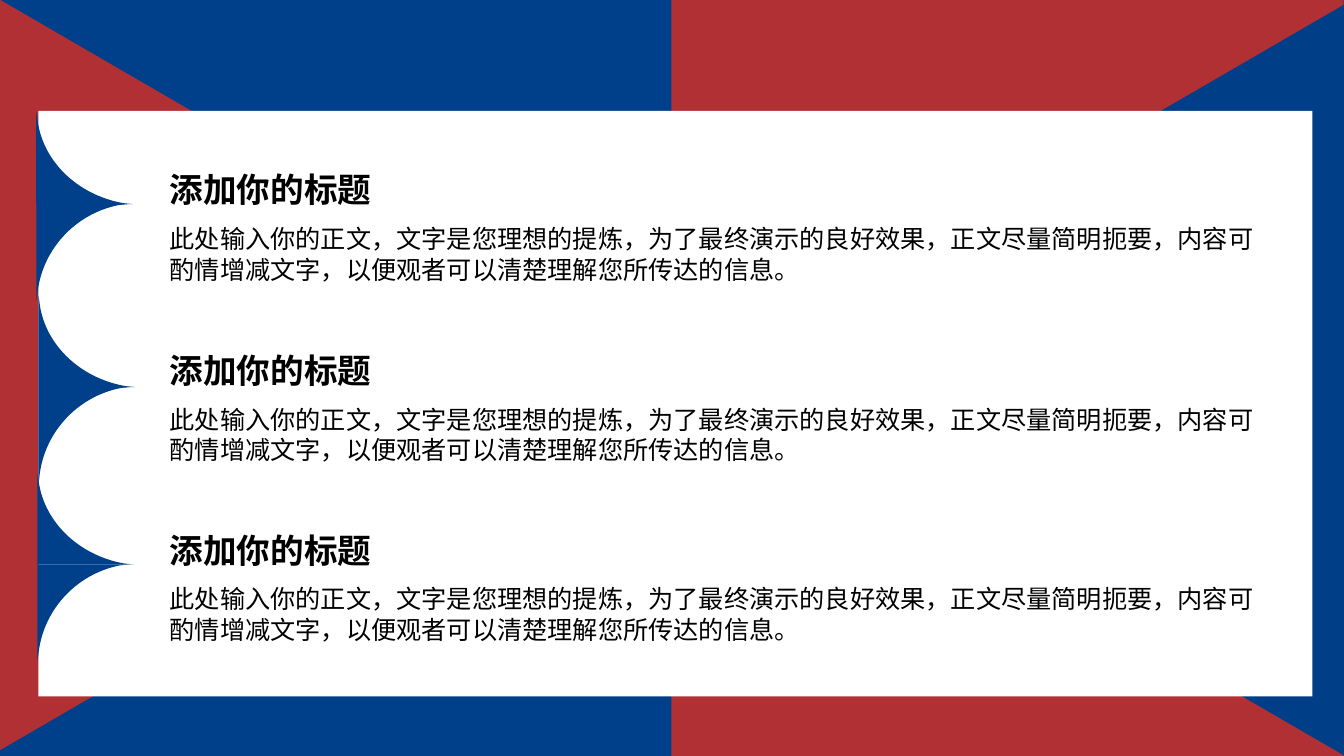
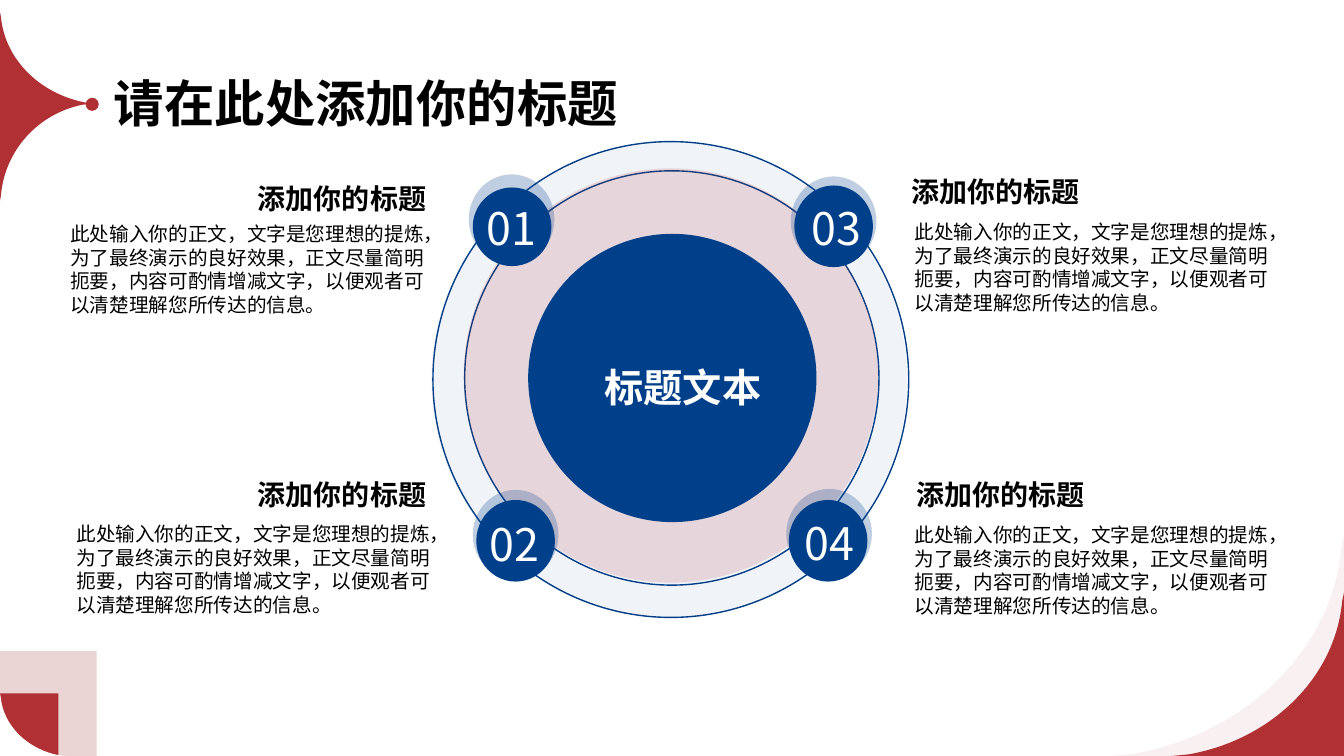
from lxml import etree
from pptx import Presentation
from pptx.dml.color import RGBColor
from pptx.enum.shapes import MSO_SHAPE
from pptx.enum.text import MSO_ANCHOR, MSO_AUTO_SIZE, PP_ALIGN
from pptx.oxml.ns import qn
from pptx.util import Inches, Pt

RECT, OVAL, TRIANGLE = MSO_SHAPE.RECTANGLE, MSO_SHAPE.OVAL, MSO_SHAPE.ISOSCELES_TRIANGLE
LEFT, CENTER = PP_ALIGN.LEFT, PP_ALIGN.CENTER
TOP = MSO_ANCHOR.TOP
GROW = MSO_AUTO_SIZE.SHAPE_TO_FIT_TEXT

COLS, ROWS = 133.33, 75
FONT = "Noto Sans CJK SC"
BLUE, RING_BLUE, RED, DARK_RED = "003F89", "003E87", "B03034", "9A1B1E"
WHITE, BLACK = "FFFFFF", "000000"
TITLE_ONLY, BLANK = 5, 6
FILLET = ((1, 0), (0.9, 0.01), (0.42, 0.1), (0.05, 0.48), (0.01, 0.95), (0, 1))

HEADING = "添加你的标题"
BODY = (
    "此处输入你的正文，文字是您理想的提炼，为了最终演示的良好效果，"
    "正文尽量简明扼要，内容可酌情增减文字，以便观者可以清楚理解您所传达的信息。"
)


def grid(*cells):
    """Turn counts of tenth-of-an-inch grid cells into lengths."""
    return [Inches(c / 10) for c in cells]


def rgb(color):
    """Turn a hex string into a colour."""
    return RGBColor.from_string(color)


def paint(sp, fill=None, alpha=100, line=None):
    """Set the fill, its opacity in percent and the outline of a shape."""
    sp.shadow.inherit = False
    if fill:
        sp.fill.solid()
        sp.fill.fore_color.rgb = rgb(fill)
        if alpha < 100:
            clr = sp.element.spPr.find(qn("a:solidFill")).find(qn("a:srgbClr"))
            etree.SubElement(clr, qn("a:alpha")).set("val", str(alpha * 1000))
    else:
        sp.fill.background()
    if line:
        sp.line.color.rgb = rgb(line)
        sp.line.width = Pt(1)
    else:
        sp.line.fill.background()


def add_preset(s, kind, at, fill=None, alpha=100, line=None, rotation=0):
    """Add a preset shape at a place on the grid."""
    sp = s.shapes.add_shape(kind, *grid(*at))
    sp.rotation = rotation
    paint(sp, fill, alpha, line)


def add_fillet(s, x, y, w, h, fill, alpha=100):
    """Fill a corner outside a round curve; signed w and h give its direction."""
    builder = s.shapes.build_freeform(*grid(x, y))
    builder.add_line_segments([grid(x + u * w, y + v * h) for u, v in FILLET])
    sp = builder.convert_to_shape()
    bend = list(sp.element.spPr.iter(qn("a:lnTo")))[2:5]
    curve = etree.Element(qn("a:cubicBezTo"))
    bend[0].addprevious(curve)
    for segment in bend:
        curve.append(segment[0])
        segment.getparent().remove(segment)
    paint(sp, fill, alpha)


def add_spike(s, x, y, fill):
    """Add a pair of mirrored fillets that meet in a point to the right."""
    add_fillet(s, x, y, 9.1, 9.6, fill)
    add_fillet(s, x, y, 9.6, -9.1, fill)


def format_text(sp, text, size, color=BLACK, bold=False, align=LEFT):
    """Write one paragraph into a shape and format it."""
    tf = sp.text_frame
    tf.word_wrap = True
    tf.auto_size = GROW
    tf.vertical_anchor = TOP
    tf.text = text
    p = tf.paragraphs[0]
    p.alignment = align
    r = p.runs[0]
    r.font.name, r.font.size, r.font.bold = FONT, Pt(size), bold
    r.font.color.rgb = rgb(color)
    etree.SubElement(r.font._element, qn("a:ea")).set("typeface", FONT)
    return tf


def add_text(s, at, text, size, **style):
    """Add a text box at a place on the grid."""
    return format_text(s.shapes.add_textbox(*grid(*at)), text, size, **style)


def set_title(s, at, text):
    """Place and format the title placeholder."""
    sp = s.shapes.title
    sp.left, sp.top, sp.width, sp.height = grid(*at)
    format_text(sp, text, 36, bold=True)


def add_badge(s, number, halo, disc, label):
    """Add a numbered disc with a pale halo behind it."""
    add_preset(s, OVAL, (*halo, 8.5, 8.9), BLUE, alpha=25)
    add_preset(s, OVAL, disc, BLUE)
    tf = add_text(s, (*label, 7.7, 5.6), number, 32, color=WHITE, align=CENTER)
    tf.margin_left = tf.margin_right = tf.margin_top = tf.margin_bottom = 0
    tf.paragraphs[0].line_spacing = Pt(40)


def new_slide(prs, layout, background):
    """Add a slide with a plain background."""
    s = prs.slides.add_slide(prs.slide_layouts[layout])
    s.background.fill.solid()
    s.background.fill.fore_color.rgb = rgb(background)
    return s


def build_list_slide(prs):
    """Build the framed slide with three headed paragraphs."""
    s = new_slide(prs, BLANK, BLUE)
    add_preset(s, RECT, (66.6, 0, 66.7, ROWS), RED)
    add_preset(s, TRIANGLE, (-5.2, 5.1, 74.5, 64.2), RED, rotation=90)
    add_preset(s, TRIANGLE, (64, 5.6, 74.5, 64.2), RING_BLUE, rotation=270)
    add_preset(s, RECT, (3.8, 11, 126.4, 58.1), WHITE)
    for head_y, body_y in ((16.25, 21.7), (34.2, 39.6), (52.1, 57.4)):
        add_text(s, (15.85, head_y, 23.4, 5), HEADING, 24, bold=True)
        add_text(s, (15.85, body_y, 111.1, 7.1), BODY, 18)
    for x, tip_y in ((3.6, 20.25), (3.8, 38.4), (3.7, 56)):
        add_spike(s, x, tip_y, BLUE)


def build_ring_slide(prs):
    """Build the titled slide with four points around a ring."""
    s = new_slide(prs, TITLE_ONLY, WHITE)
    set_title(s, (10.3, 6.7, 59.9, 7.1), "请在此处添加你的标题")

    add_preset(s, OVAL, (42.8, 14.1, 47.2, 47.2), BLUE, alpha=6)
    add_preset(s, OVAL, (42.95, 14.05, 47.2, 47.2), line=RING_BLUE)
    add_preset(s, OVAL, (46.1, 16.95, 41.1, 41.1), line=RING_BLUE)
    add_preset(s, OVAL, (46, 16.7, 41.1, 41.1), RED, alpha=15)
    for badge in (
        ("01", (46.5, 17.3), (46.9, 18.6, 7.8, 7.8), (46.9, 19.7)),
        ("02", (46.9, 48.6), (47.25, 49.6, 7.8, 8.1), (47.2, 51)),
        ("03", (78.45, 17.5), (78.8, 18.4, 7.8, 8.1), (79.1, 19.7)),
        ("04", (78, 48.5), (78.25, 49.6, 7.8, 8.1), (78.4, 50.9)),
    ):
        add_badge(s, *badge)
    add_preset(s, OVAL, (52.4, 23.2, 28.6, 28.6), BLUE)
    add_text(s, (59, 35.6, 18, 5.7), "标题文本", 28, color=WHITE, bold=True)

    for head_x, head_y, body_x, body_y in (
        (24.6, 17.5, 6, 21.55),
        (24.6, 46.9, 6.6, 51.3),
        (89.4, 16.8, 89.75, 21.35),
        (89.9, 46.9, 89.75, 51.4),
    ):
        add_text(s, (head_x, head_y, 20.2, 4.4), HEADING, 20, bold=True)
        add_text(s, (body_x, body_y, 37.7, 10.4), BODY, 14)

    add_preset(s, OVAL, (8.5, 9.7, 1.3, 1.3), RED)
    add_spike(s, 0, 10.3, RED)
    add_fillet(s, COLS, ROWS, -23.2, -21.9, DARK_RED, alpha=6)
    add_fillet(s, COLS, ROWS, -17.1, -16.2, RED)
    add_preset(s, RECT, (0, 64.6, 9.6, 10.4), DARK_RED, alpha=19)
    add_preset(s, RECT, (0, 68.8, 5.8, 6.2), RED)
    add_fillet(s, 0, ROWS, 6.6, -6.2, WHITE)


def main():
    """Build and save the presentation."""
    prs = Presentation()
    prs.slide_width, prs.slide_height = grid(COLS, ROWS)
    build_list_slide(prs)
    build_ring_slide(prs)
    prs.save("out.pptx")


if __name__ == "__main__":
    main()
